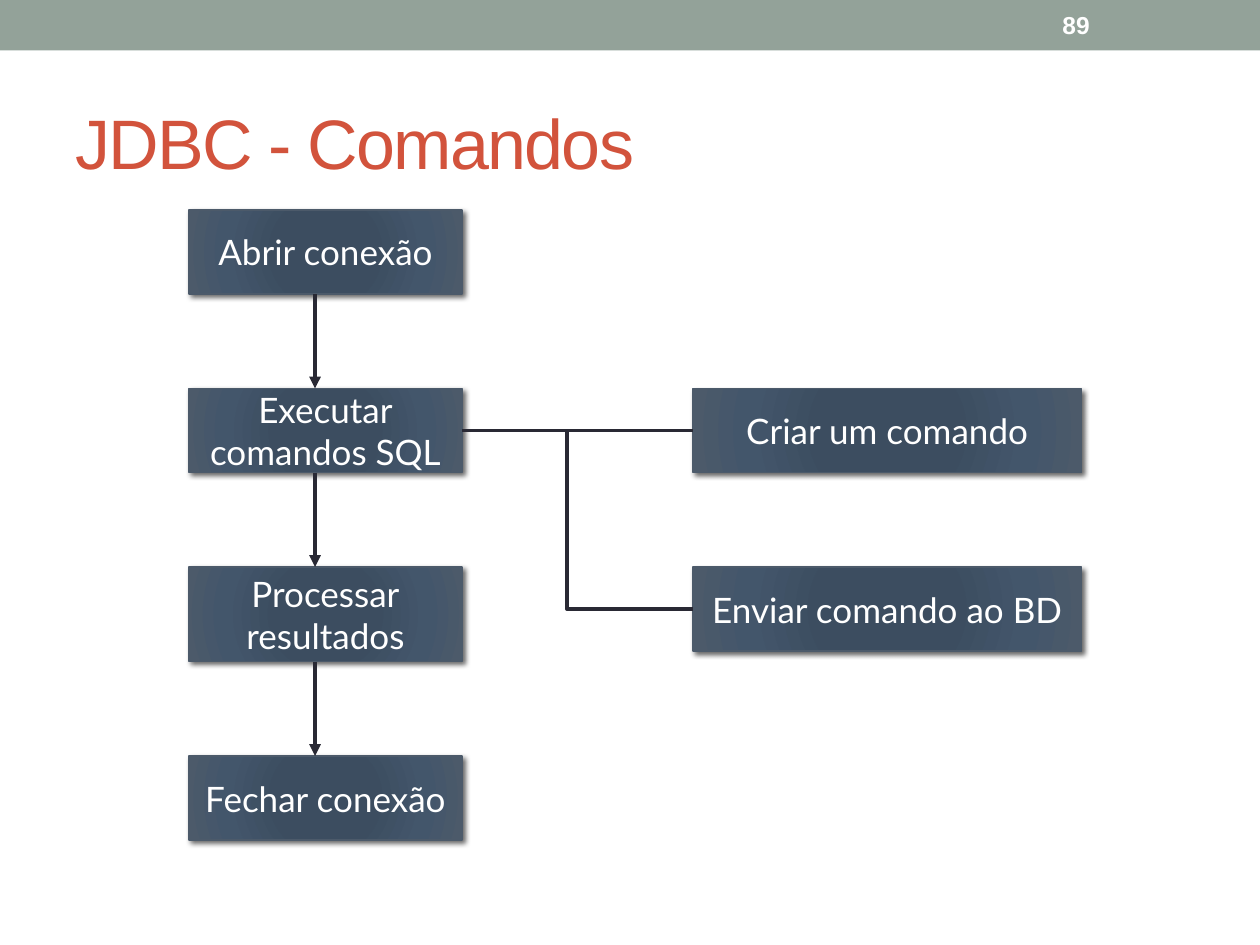
import lxml.etree
import pptx
import pptx.dml.color
import pptx.enum.shapes
import pptx.enum.text
import pptx.oxml
import pptx.oxml.ns
import pptx.util

PX = 7620  # EMU; 120 px to the inch
RGBColor = pptx.dml.color.RGBColor
BAR = RGBColor(0x93, 0xA2, 0x99)
TITLE = RGBColor(0xD2, 0x53, 0x3C)
WHITE = RGBColor(0xFF, 0xFF, 0xFF)
EDGE = RGBColor(0x4C, 0x5A, 0x6A)
INK = RGBColor(0x29, 0x29, 0x34)
SHADOW = RGBColor(0, 0, 0)
STEP_STOPS = (
    (0, RGBColor(0x3B, 0x4D, 0x61)),
    (34, RGBColor(0x3C, 0x4D, 0x60)),
    (70, RGBColor(0x43, 0x56, 0x6B)),
    (100, EDGE),
)

STEP_X, STEP_W, STEP_H = 180, 260, 80
DETAIL_X, DETAIL_W = 660, 370
ARROW_X, BRANCH_X = 300, 540
STEPS = (
    ("Abrir conexão", 200, STEP_H),
    ("Executar\ncomandos SQL", 370, STEP_H),
    ("Processar\nresultados", 540, 90),
    ("Fechar conexão", 720, STEP_H),
)
DETAILS = (("Criar um comando", 370), ("Enviar comando ao BD", 540))


def px(*lengths):
    return [pptx.util.Emu(length * PX) for length in lengths]


def drawing_xml(tag, content):
    return pptx.oxml.parse_xml(
        f"<a:{tag} {pptx.oxml.ns.nsdecls('a')}>{content}</a:{tag}>")


def write(shape, text, font, align=None):
    frame = shape.text_frame
    frame.text = text
    frame.vertical_anchor = pptx.enum.text.MSO_ANCHOR.MIDDLE
    for paragraph in frame.paragraphs:
        paragraph.alignment = align
        for run in paragraph.runs:
            for name, value in font.items():
                if name == "color":
                    run.font.color.rgb = value
                else:
                    setattr(run.font, name, value)
    return frame


def add_label(slide, text, box, font):
    label = slide.shapes.add_textbox(*px(*box))
    write(label, text, font).word_wrap = True
    return label


def add_rect(slide, box):
    rect = slide.shapes.add_shape(
        pptx.enum.shapes.MSO_SHAPE.RECTANGLE, *px(*box))
    rect.shadow.inherit = False
    return rect


def add_bar(slide):
    bar = add_rect(slide, (0, 0, 1200, 48))
    bar.fill.solid()
    bar.fill.fore_color.rgb = BAR
    bar.line.fill.background()


def fill_step(step):
    """Give a step its circular gradient and its soft shadow."""
    stops = "".join(
        f'<a:gs pos="{pos * 1000}"><a:srgbClr val="{color}"/></a:gs>'
        for pos, color in STEP_STOPS)
    gradient = drawing_xml("gradFill", (
        f'<a:gsLst>{stops}</a:gsLst><a:path path="circle"><a:fillToRect '
        'l="100000" t="100000" r="100000" b="100000"/></a:path>'))
    properties = step.element.spPr
    properties.find(pptx.oxml.ns.qn("a:prstGeom")).addnext(gradient)
    effects = properties.find(pptx.oxml.ns.qn("a:effectLst"))
    shadow = drawing_xml("outerShdw", (
        f'<a:srgbClr val="{SHADOW}"><a:alpha val="60000"/></a:srgbClr>'))
    for name, value in {"blurRad": pptx.util.Pt(3), "dist": pptx.util.Pt(2),
                        "dir": 45 * 60000, "rotWithShape": 0}.items():
        shadow.set(name, str(int(value)))
    effects.append(shadow)


def add_step(slide, text, box):
    step = add_rect(slide, box)
    fill_step(step)
    step.line.color.rgb = EDGE
    step.line.width = pptx.util.Pt(0.75)
    font = {"name": "Lato", "size": pptx.util.Pt(20), "color": WHITE}
    write(step, text, font, pptx.enum.text.PP_ALIGN.CENTER).word_wrap = False
    return step


def ink_line(shape):
    shape.line.color.rgb = INK
    shape.line.width = pptx.util.Pt(2.25)


def add_line(slide, start, end, arrow=False):
    line = slide.shapes.add_connector(
        pptx.enum.shapes.MSO_CONNECTOR.STRAIGHT, *px(*start, *end))
    ink_line(line)
    if arrow:
        tip = lxml.etree.SubElement(
            line.line._get_or_add_ln(), pptx.oxml.ns.qn("a:tailEnd"))
        tip.set("type", "triangle")
    line.element.spPr.append(drawing_xml("effectLst", ""))
    return line


def add_branch(slide, points):
    """Draw an open, unfilled line through the points."""
    builder = slide.shapes.build_freeform(*points[0], scale=PX)
    builder.add_line_segments(points[1:], close=False)
    branch = builder.convert_to_shape()
    branch.fill.background()
    branch.shadow.inherit = False
    ink_line(branch)


def main():
    deck = pptx.Presentation()
    deck.slide_width, deck.slide_height = px(1200, 900)
    slide = deck.slides.add_slide(deck.slide_layouts[6])

    add_bar(slide)
    title = add_label(
        slide, "JDBC - Comandos", (60, 70, 1080, 130),
        {"name": "Arial", "size": pptx.util.Pt(40), "color": TITLE})
    title_run = title.text_frame.paragraphs[0].runs[0]
    title_run.font._element.set("spc", "-100")

    steps = [add_step(slide, text, (STEP_X, top, STEP_W, height))
             for text, top, height in STEPS]
    for (_, top, height), (_, next_top, _) in zip(STEPS, STEPS[1:]):
        add_line(slide, (ARROW_X, top + height), (ARROW_X, next_top), True)

    details = [add_step(slide, text, (DETAIL_X, top, DETAIL_W, STEP_H))
               for text, top in DETAILS]
    create_y, send_y = [top + STEP_H // 2 for _, top in DETAILS]
    link = add_line(
        slide, (STEP_X + STEP_W, create_y), (DETAIL_X, create_y))
    link.begin_connect(steps[1], 3)
    link.end_connect(details[0], 1)
    add_branch(slide, [
        (BRANCH_X, create_y), (BRANCH_X, send_y), (DETAIL_X, send_y)])

    add_label(
        slide, "89", (1000, 2, 140, 43),
        {"name": "Arial", "size": pptx.util.Pt(14), "bold": True,
         "color": WHITE})
    deck.save("out.pptx")


if __name__ == "__main__":
    main()
